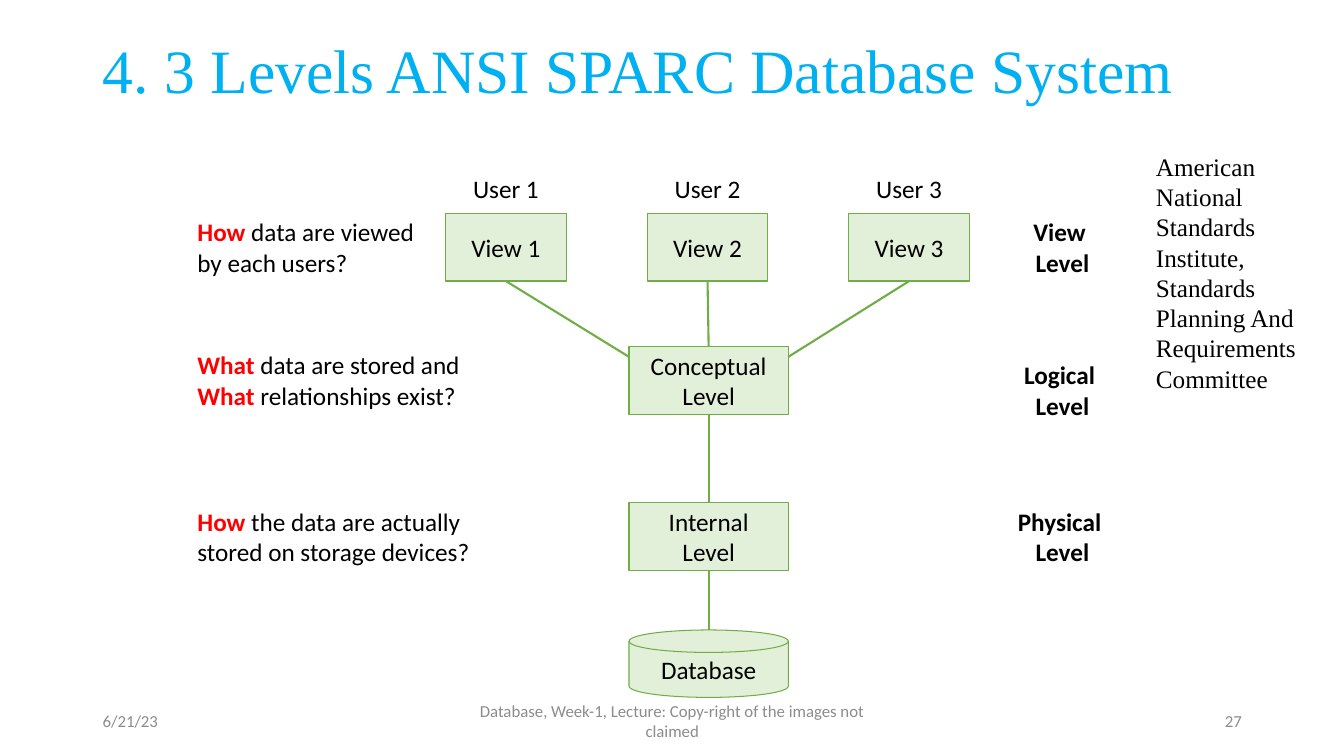
"""Builds a slide on the three levels of the ANSI SPARC database system."""
from dataclasses import dataclass

from lxml import etree
from pptx import Presentation, util as u
from pptx.dml.color import RGBColor
from pptx.enum import shapes, text
from pptx.oxml.ns import qn

BLACK, RED, GREY, BLUE = "000000", "FF0000", "8C8C8C", "00B0F0"
GREEN, PALE_GREEN = "70AD47", "E2F0D9"
LEFT, CENTER, RIGHT = text.PP_ALIGN.LEFT, text.PP_ALIGN.CENTER, text.PP_ALIGN.RIGHT
TOP, MIDDLE = text.MSO_ANCHOR.TOP, text.MSO_ANCHOR.MIDDLE
RECTANGLE = shapes.MSO_SHAPE.RECTANGLE
DISK = shapes.MSO_SHAPE.FLOWCHART_MAGNETIC_DISK

VIEW_LEFT, VIEW_STEP, VIEW_TOP, VIEW_WIDTH = 318.2, 144, 152.6, 86.4
USER_TOP, USER_WIDTH = 120.5, 72
LEVEL_LEFT, LEVEL_WIDTH, BOX_HEIGHT = 449.3, 113.8, 48.2
LEVEL_CENTER = LEVEL_LEFT + LEVEL_WIDTH / 2
JOIN_TOP = 254.9


@dataclass
class Label:
    left: float
    top: float
    width: float
    height: float
    lines: list[str]
    align: text.PP_ALIGN = LEFT
    anchor: text.MSO_ANCHOR = TOP
    size: float = 18
    font: str = "Calibri"
    color: str = BLACK
    bold: bool = False


@dataclass
class Question:
    top: float
    width: float
    lines: list[tuple[str, str]]


@dataclass
class Level:
    top: float
    lines: list[str]
    kind: shapes.MSO_SHAPE = RECTANGLE


LABELS = [
    Label(66.2, 500.4, 216, 28.8, ["6/21/23"], LEFT, MIDDLE, 12, color=GREY),
    Label(318.2, 500.4, 324, 28.8,
          ["Database, Week-1, Lecture: Copy-right of the images not claimed"],
          CENTER, MIDDLE, 12, color=GREY),
    Label(678.2, 500.4, 216, 28.8, ["27"], RIGHT, MIDDLE, 12, color=GREY),
    Label(818.6, 104.4, 132.5, 181.4,
          ["American National Standards Institute, Standards Planning And "
           "Requirements Committee"], font="Times New Roman"),
] + [
    Label(719.3, top, 79.2, 51, [name + " ", "Level"], CENTER, bold=True)
    for name, top in (("View", 151.2), ("Logical", 253.4), ("Physical", 357.8))
] + [
    Label(VIEW_LEFT + i * VIEW_STEP + (VIEW_WIDTH - USER_WIDTH) / 2, USER_TOP,
          USER_WIDTH, 29, [f"User {i + 1}"], CENTER)
    for i in range(3)
]

QUESTIONS = [
    Question(151.2, 171.4, [("How ", "data are viewed by each users?")]),
    Question(246.2, 221.8, [("What ", "data are stored and"),
                            ("What ", "relationships exist?")]),
    Question(357.8, 221.8, [("How ", "the data are actually stored on storage devices?")]),
]

LEVELS = [
    Level(247.7, ["Conceptual", "Level"]),
    Level(359.3, ["Internal", "Level"]),
    Level(450, ["Database"], DISK),
]


def rgb(color: str) -> RGBColor:
    return RGBColor.from_string(color)


def write(frame, lines: list[str], align=CENTER, size: float = 18,
          font: str = "Calibri", color: str = BLACK, bold: bool = False) -> None:
    for i, line in enumerate(lines):
        para = frame.paragraphs[0] if i == 0 else frame.add_paragraph()
        para.alignment = align
        para.font.size, para.font.name, para.font.bold = u.Pt(size), font, bold
        para.font.color.rgb = rgb(color)
        if line:
            para.add_run().text = line


def add_text_frame(page, left: float, top: float, width: float, height: float, anchor=TOP):
    frame = page.shapes.add_textbox(
        u.Pt(left), u.Pt(top), u.Pt(width), u.Pt(height)).text_frame
    frame.word_wrap = True
    frame.vertical_anchor = anchor
    return frame


def add_label(page, label: Label) -> None:
    frame = add_text_frame(page, label.left, label.top, label.width, label.height, label.anchor)
    write(frame, label.lines, label.align, label.size, label.font, label.color, label.bold)


def add_question(page, question: Question) -> None:
    frame = add_text_frame(page, 133.9, question.top, question.width, 51)
    write(frame, [""] * len(question.lines), LEFT)
    for para, (word, rest) in zip(frame.paragraphs, question.lines):
        span = para.add_run()
        span.text = word
        span.font.bold = True
        span.font.color.rgb = rgb(RED)
        para.add_run().text = rest


def add_box(page, kind, left: float, top: float, width: float, lines: list[str]):
    box = page.shapes.add_shape(kind, u.Pt(left), u.Pt(top), u.Pt(width), u.Pt(BOX_HEIGHT))
    box.shadow.inherit = False
    box.fill.solid()
    box.fill.fore_color.rgb = rgb(PALE_GREEN)
    box.line.color.rgb = rgb(GREEN)
    box.line.width = u.Pt(0.75)
    box.text_frame.word_wrap = True
    box.text_frame.vertical_anchor = MIDDLE
    write(box.text_frame, lines)
    return box


def add_line_below(page, box, end_x: float, end_y: float, target=None) -> None:
    line = page.shapes.add_connector(
        shapes.MSO_CONNECTOR.STRAIGHT, box.left + box.width // 2, box.top + box.height,
        u.Pt(end_x), u.Pt(end_y))
    line.begin_connect(box, 2)
    if target is not None:
        line.end_connect(target, 0)
    line.line.color.rgb = rgb(GREEN)
    line.line.width = u.Pt(1.5)
    etree.SubElement(line._element.spPr, qn("a:effectLst"))


def add_title(page) -> None:
    title = page.shapes.title
    title.left, title.top, title.width, title.height = (
        u.Pt(66.2), u.Pt(0), u.Pt(828), u.Pt(104.4))
    title.text_frame.vertical_anchor = MIDDLE
    write(title.text_frame, ["4. 3 Levels ANSI SPARC Database System"],
          LEFT, 44, "Times New Roman", BLUE)
    title.text_frame.paragraphs[0].line_spacing = 0.9


def add_diagram(page) -> None:
    views = [add_box(page, RECTANGLE, VIEW_LEFT + i * VIEW_STEP, VIEW_TOP, VIEW_WIDTH,
                     [f"View {i + 1}"]) for i in range(3)]
    conceptual, internal, database = [
        add_box(page, level.kind, LEVEL_LEFT, level.top, LEVEL_WIDTH, level.lines)
        for level in LEVELS]
    add_line_below(page, views[0], LEVEL_LEFT, JOIN_TOP)
    add_line_below(page, views[1], LEVEL_CENTER, LEVELS[0].top, conceptual)
    add_line_below(page, views[2], LEVEL_LEFT + LEVEL_WIDTH, JOIN_TOP)
    add_line_below(page, conceptual, LEVEL_CENTER, LEVELS[1].top, internal)
    add_line_below(page, internal, LEVEL_CENTER, database.top.pt)


def main() -> None:
    deck = Presentation()
    deck.slide_width, deck.slide_height = u.Pt(960), u.Pt(540)
    page = deck.slides.add_slide(deck.slide_layouts[5])
    add_title(page)
    add_diagram(page)
    for label in LABELS:
        add_label(page, label)
    for question in QUESTIONS:
        add_question(page, question)
    deck.save("out.pptx")


if __name__ == "__main__":
    main()
